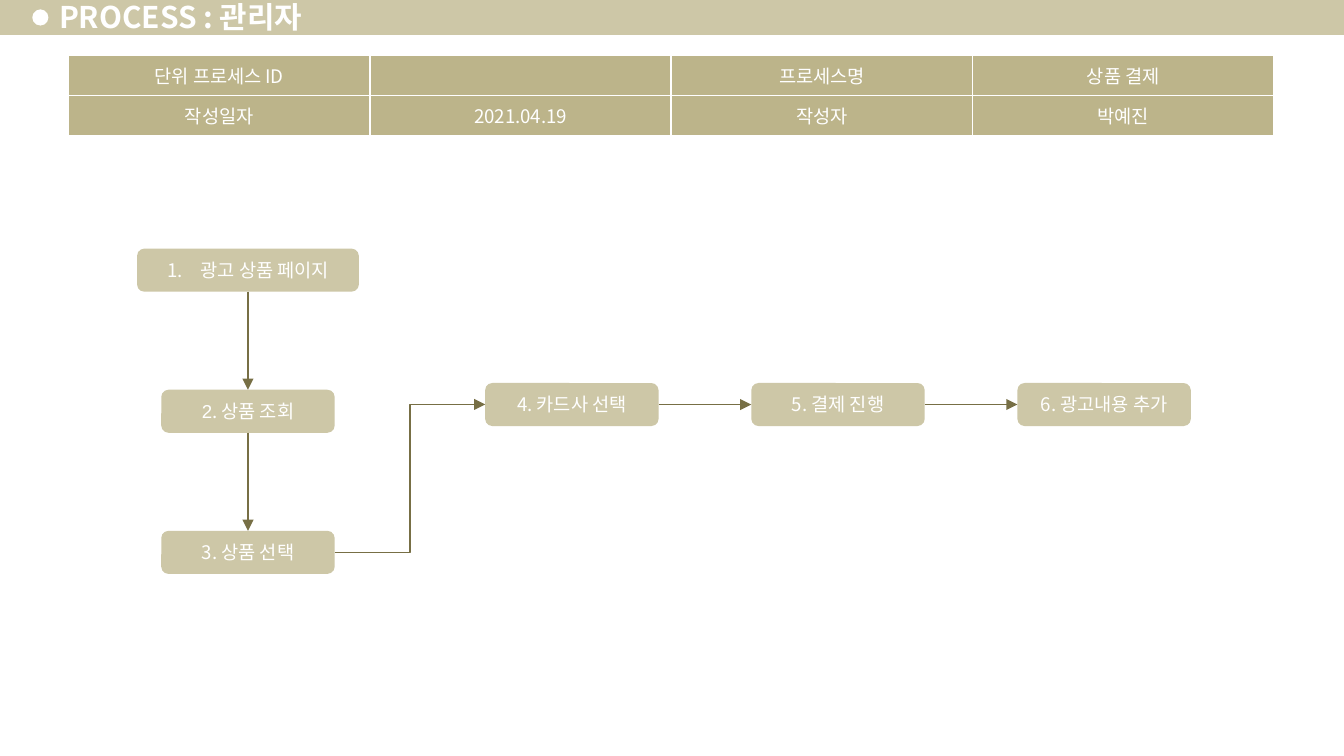
from dataclasses import dataclass
from lxml.etree import SubElement
from pptx import Presentation
from pptx.dml.color import RGBColor
from pptx.enum.shapes import MSO_CONNECTOR, MSO_SHAPE
from pptx.enum.text import MSO_ANCHOR, PP_ALIGN
from pptx.oxml.ns import qn
from pptx.util import Inches, Pt


@dataclass(frozen=True)
class Theme:
    band: RGBColor = RGBColor(0xCD, 0xC7, 0xA7)
    cell: RGBColor = RGBColor(0xBC, 0xB4, 0x8A)
    arrow: RGBColor = RGBColor(0x77, 0x6F, 0x45)
    light: RGBColor = RGBColor(0xFF, 0xFF, 0xFF)
    font: str = "Noto Sans CJK KR"
    number_font: str = "Arial"
    title_size: int = 16
    body_size: int = 10


THEME = Theme()
SLIDE_WIDTH = 10
SLIDE_HEIGHT = SLIDE_WIDTH * 9 / 16
STEP_WIDTH, STEP_HEIGHT = 1.29, 0.32


def set_values(target, values):
    for name, value in values.items():
        setattr(target, name, value)


def inches(*lengths):
    return [Inches(length) for length in lengths]


def write(frame, *runs, size=THEME.body_size, bold=False, align=PP_ALIGN.CENTER):
    """Fill the first paragraph with (text, font) runs."""
    frame.vertical_anchor = MSO_ANCHOR.MIDDLE
    paragraph = frame.paragraphs[0]
    paragraph.alignment = align
    for text, font in runs:
        run = paragraph.add_run()
        run.text = text
        set_values(run.font, {"name": font, "size": Pt(size), "bold": bold})
        run.font.color.rgb = THEME.light
        SubElement(run.font._element, qn("a:ea"), typeface=font)
    if not runs:  # keeps the row of an empty cell low
        SubElement(paragraph._p, qn("a:endParaRPr"), sz=str(size * 100))
    return paragraph


def add_filled_shape(slide, preset, box, color):
    shape = slide.shapes.add_shape(preset, *inches(*box))
    shape.shadow.inherit = False
    shape.fill.solid()
    shape.fill.fore_color.rgb = color
    shape.line.fill.background()
    return shape


def add_header(slide, box, text):
    left, top, width, height = box
    title = slide.shapes.title
    # Band and dot lie behind the title
    band = add_filled_shape(slide, MSO_SHAPE.RECTANGLE, box, THEME.band)
    dot = add_filled_shape(slide, MSO_SHAPE.OVAL,
                           (left + 0.24, top + 0.09, 0.12, 0.12), THEME.light)
    for shape in (band, dot):
        title.element.addprevious(shape.element)
    # Title
    frame = (left + 0.35, top - 0.02, 2.41, height + 0.04)
    set_values(title, dict(zip(("left", "top", "width", "height"), inches(*frame))))
    set_values(title.text_frame, {
        "word_wrap": True, "margin_left": Inches(0.09), "margin_right": Inches(0.09),
        "margin_top": Inches(0.04), "margin_bottom": Inches(0.04)})
    write(title.text_frame, (text, THEME.font), size=THEME.title_size,
          bold=True, align=PP_ALIGN.LEFT)


def add_info_table(slide, box, rows):
    table = slide.shapes.add_table(len(rows), len(rows[0]), *inches(*box)).table
    set_values(table, {"first_row": False, "horz_banding": False})
    for row_index, texts in enumerate(rows):
        for column_index, text in enumerate(texts):
            cell = table.cell(row_index, column_index)
            cell.fill.solid()
            cell.fill.fore_color.rgb = THEME.cell
            cell.vertical_anchor = MSO_ANCHOR.MIDDLE
            write(cell.text_frame, *([(text, THEME.font)] if text else []))


def add_step(slide, center_x, top, *runs, width=STEP_WIDTH, numbered=False):
    box = (center_x - width / 2, top, width, STEP_HEIGHT)
    step = add_filled_shape(slide, MSO_SHAPE.ROUNDED_RECTANGLE, box, THEME.band)
    step.text_frame.word_wrap = True
    paragraph = write(step.text_frame, *runs)
    if numbered:
        properties = paragraph._p.get_or_add_pPr()
        properties.set("marL", str(Inches(0.25)))
        properties.set("indent", str(Inches(-0.25)))
        SubElement(properties, qn("a:buFont"), typeface=THEME.font)
        SubElement(properties, qn("a:buAutoNum"), type="arabicPeriod")
    return step


def add_arrow(slide, start, start_side, end, end_side, kind=MSO_CONNECTOR.STRAIGHT):
    arrow = slide.shapes.add_connector(kind, 0, 0, 0, 0)
    arrow.begin_connect(start, start_side)
    arrow.end_connect(end, end_side)
    arrow.line.color.rgb = THEME.arrow
    arrow.line.width = Pt(0.75)
    SubElement(arrow.line._get_or_add_ln(), qn("a:tailEnd"), type="triangle")
    SubElement(arrow.element.spPr, qn("a:effectLst"))


def add_process(slide, box):
    left, top, width, height = box
    font = THEME.font
    # Column of steps 1 to 3
    center_x = left + 1.65 / 2
    row_gap = (height - STEP_HEIGHT) / 2
    column = [
        add_step(slide, center_x, top, ("광고 상품 페이지", font), width=1.65, numbered=True),
        add_step(slide, center_x, top + row_gap,
                 ("2", THEME.number_font), (". 상품 조회", font)),
        add_step(slide, center_x, top + 2 * row_gap, ("3. 상품 선택", font)),
    ]
    # Row of steps 4 to 6, ending at the right edge of the box
    pitch = 1.98
    last_center = left + width - STEP_WIDTH / 2
    labels = ["4. 카드사 선택", "5. 결제 진행", "6. 광고내용 추가"]
    row = [add_step(slide, last_center - (2 - index) * pitch, top + 1, (label, font))
           for index, label in enumerate(labels)]
    # Arrows
    for upper, lower in zip(column, column[1:]):
        add_arrow(slide, upper, 2, lower, 0)
    add_arrow(slide, column[-1], 3, row[0], 1, MSO_CONNECTOR.ELBOW)
    for before, after in zip(row, row[1:]):
        add_arrow(slide, before, 3, after, 1)


def main():
    presentation = Presentation()
    set_values(presentation, {"slide_width": Inches(SLIDE_WIDTH),
                              "slide_height": Inches(SLIDE_HEIGHT)})
    slide = presentation.slides.add_slide(presentation.slide_layouts[5])
    add_header(slide, (0, -0.02, SLIDE_WIDTH, 0.28), "PROCESS : 관리자")
    add_info_table(slide, (0.51, 0.41, 8.97, 0.56), [
        ["단위 프로세스 ID", "", "프로세스명", "상품 결제"],
        ["작성일자", "2021.04.19", "작성자", "박예진"],
    ])
    add_process(slide, (1.02, 1.85, 7.84, 2.42))
    presentation.save("out.pptx")


if __name__ == "__main__":
    main()
